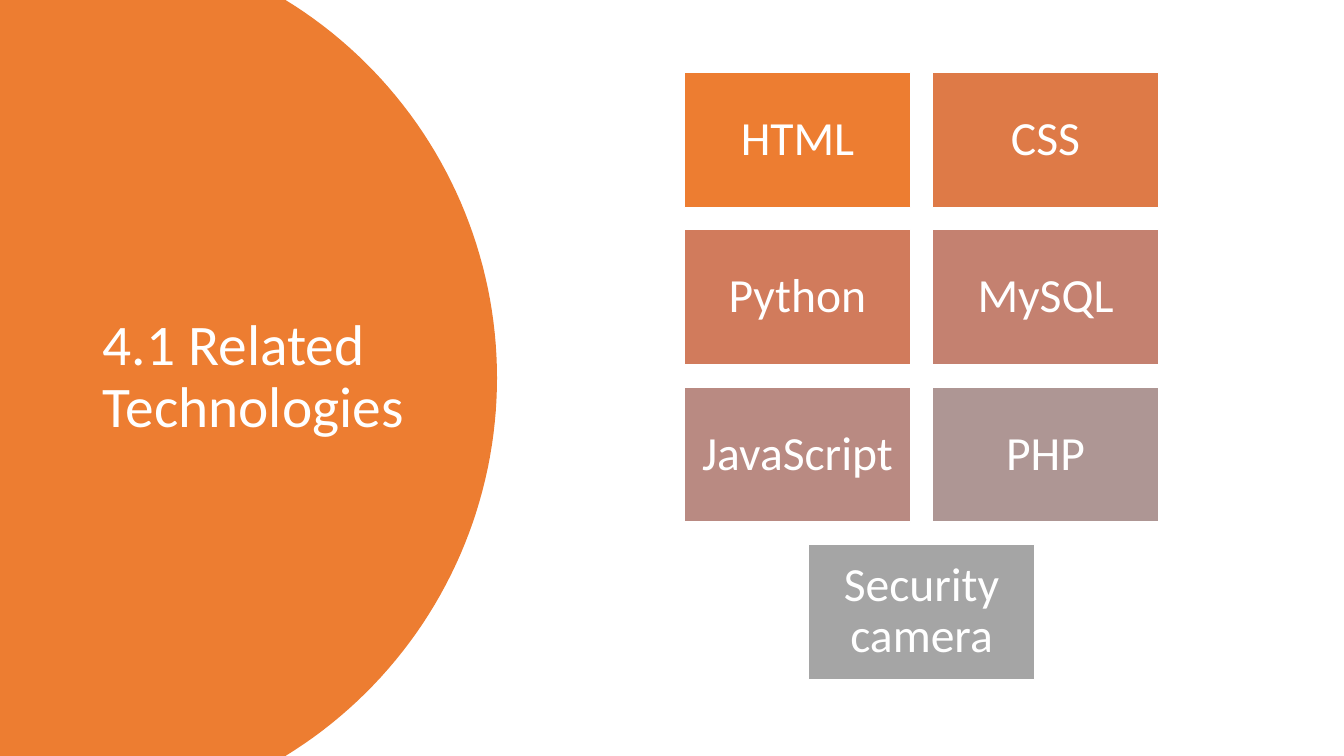
"""Build the Related Technologies slide: a disc with the title beside a grid of tiles."""
from math import asin, cos, sin

from pptx import Presentation
from pptx.dml.color import RGBColor
from pptx.enum.shapes import MSO_SHAPE
from pptx.enum.text import MSO_ANCHOR, MSO_AUTO_SIZE, PP_ALIGN
from pptx.util import Inches, Pt

RECTANGLE = MSO_SHAPE.RECTANGLE
MIDDLE = MSO_ANCHOR.MIDDLE
NO_FIT = MSO_AUTO_SIZE.NONE
LEFT, CENTER = PP_ALIGN.LEFT, PP_ALIGN.CENTER

WHITE = RGBColor(0xFF, 0xFF, 0xFF)
ORANGE = RGBColor(0xED, 0x7D, 0x31)
TILES = [
    ("HTML", ORANGE),
    ("CSS", RGBColor(0xDE, 0x7A, 0x47)),
    ("Python", RGBColor(0xD1, 0x7B, 0x5C)),
    ("MySQL", RGBColor(0xC4, 0x81, 0x70)),
    ("JavaScript", RGBColor(0xB9, 0x8A, 0x82)),
    ("PHP", RGBColor(0xAE, 0x96, 0x94)),
    ("Security camera", RGBColor(0xA5, 0xA5, 0xA5)),
]
SLIDE_HEIGHT = 7.5
DISC_RIGHT, DISC_RADIUS, ARC_STEPS = 4.93, 4.4, 80
GRID_LEFT, GRID_TOP = 6.79, 0.72
TILE_WIDTH, TILE_HEIGHT, GAP = 2.24, 1.34, 0.22
COLUMNS = 2


def write_text(shape, text, size, alignment):
    frame = shape.text_frame
    frame.text = text
    frame.word_wrap = True
    frame.auto_size = NO_FIT
    frame.vertical_anchor = MIDDLE
    para = frame.paragraphs[0]
    para.alignment = alignment
    para.line_spacing = 0.9
    font = para.runs[0].font
    font.name = "Calibri"
    font.size = Pt(size)
    font.color.rgb = WHITE


deck = Presentation()
deck.slide_width = Inches(13.33)
deck.slide_height = Inches(SLIDE_HEIGHT)
page = deck.slides.add_slide(deck.slide_layouts[5])
shapes = page.shapes

title = shapes.title
title.left, title.top = Inches(0.92), Inches(0.7)
title.width, title.height = Inches(3.23), Inches(6.09)
write_text(title, "4.1 Related Technologies", 41, LEFT)

middle = SLIDE_HEIGHT / 2
half_angle = asin(middle / DISC_RADIUS)
arc = []
for step in range(ARC_STEPS + 1):
    angle = half_angle * (2 * step / ARC_STEPS - 1)
    x = DISC_RIGHT - DISC_RADIUS * (1 - cos(angle))
    arc.append((Inches(x), Inches(middle + DISC_RADIUS * sin(angle))))
outline = shapes.build_freeform(0, 0)
outline.add_line_segments(arc + [(0, Inches(SLIDE_HEIGHT))], close=True)
disc = outline.convert_to_shape()
disc.shadow.inherit = False
disc.fill.solid()
disc.fill.fore_color.rgb = ORANGE
disc.line.fill.background()
title._element.addprevious(disc._element)

for index, (label, color) in enumerate(TILES):
    row, column = divmod(index, COLUMNS)
    tiles_in_row = min(COLUMNS, len(TILES) - row * COLUMNS)
    column += (COLUMNS - tiles_in_row) / 2
    tile = shapes.add_shape(
        RECTANGLE,
        Inches(GRID_LEFT + column * (TILE_WIDTH + GAP)),
        Inches(GRID_TOP + row * (TILE_HEIGHT + GAP)),
        Inches(TILE_WIDTH),
        Inches(TILE_HEIGHT),
    )
    tile.shadow.inherit = False
    tile.fill.solid()
    tile.fill.fore_color.rgb = color
    tile.line.color.rgb = WHITE
    tile.line.width = Pt(1)
    frame = tile.text_frame
    frame.margin_left = frame.margin_right = Inches(0.14)
    frame.margin_top = frame.margin_bottom = Inches(0.14)
    write_text(tile, label, 34, CENTER)

deck.save("out.pptx")
